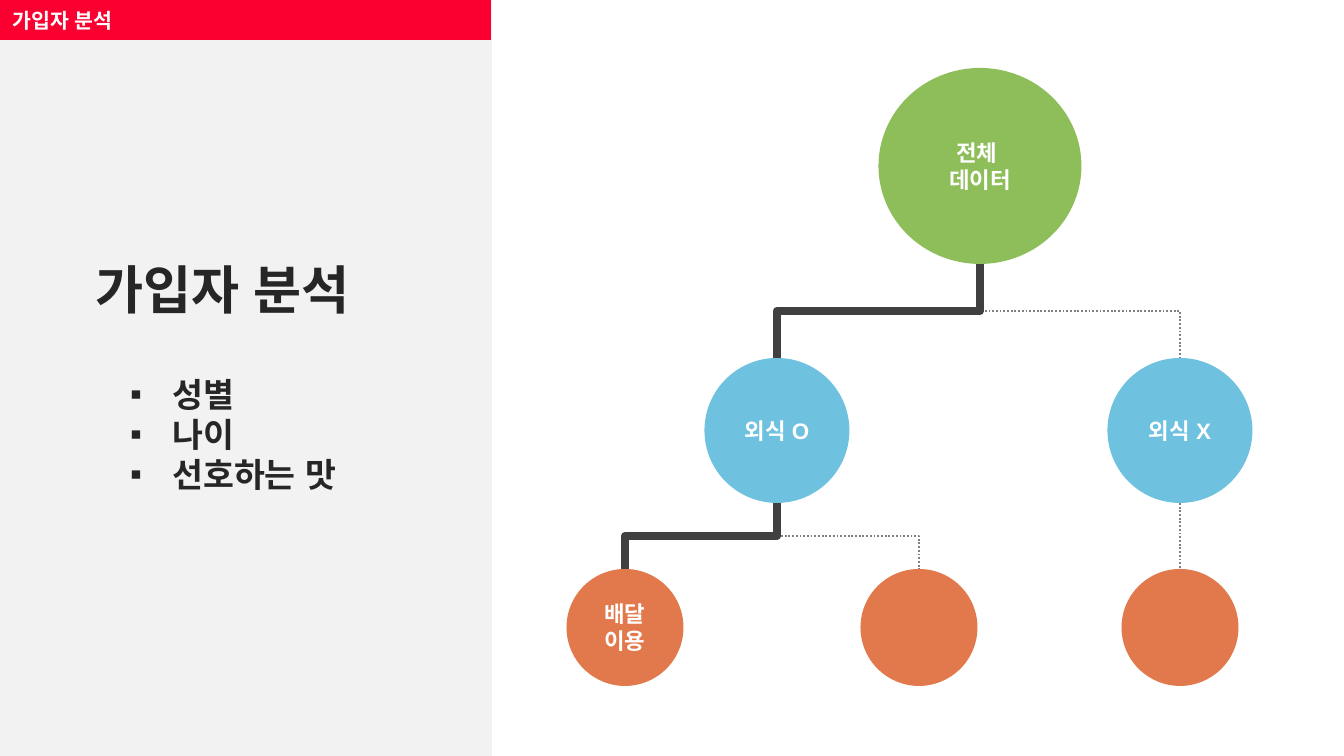
import pptx
import pptx.dml.color
import pptx.enum.dml
import pptx.enum.lang
import pptx.enum.shapes
import pptx.enum.text
import pptx.oxml
import pptx.oxml.ns
import pptx.util

RGB = pptx.dml.color.RGBColor
PANEL = RGB(0xF2, 0xF2, 0xF2)
RED = RGB(0xFA, 0x00, 0x30)
INK = RGB(0x26, 0x26, 0x26)
WHITE = RGB(0xFF, 0xFF, 0xFF)
GREEN = RGB(0x8E, 0xBE, 0x5A)
BLUE = RGB(0x6E, 0xC1, 0xDF)
ORANGE = RGB(0xE2, 0x79, 0x4C)
DARK = RGB(0x40, 0x40, 0x40)
GRAY = RGB(0x80, 0x80, 0x80)

LEFT = pptx.enum.text.PP_ALIGN.LEFT
CENTER = pptx.enum.text.PP_ALIGN.CENTER
RECTANGLE = pptx.enum.shapes.MSO_SHAPE.RECTANGLE
OVAL = pptx.enum.shapes.MSO_SHAPE.OVAL


def px(n):
    return pptx.util.Emu(round(n * 914400 / 134.4))


def add_xml(parent, tag, **attributes):
    child = pptx.oxml.parse_xml(f"<a:{tag} {pptx.oxml.ns.nsdecls('a')}/>")
    for key, value in attributes.items():
        child.set(key, str(value))
    parent.append(child)
    return child


class Deck:
    font = "Arial"

    def __init__(self, width, height):
        self.prs = pptx.Presentation()
        self.prs.slide_width, self.prs.slide_height = px(width), px(height)
        self.slide = self.prs.slides.add_slide(self.prs.slide_layouts[6])

    def fill_text(self, frame, text, size, color, align=LEFT):
        frame.word_wrap = True
        frame.text = text
        for paragraph in frame.paragraphs:
            paragraph.alignment = align
            for run in paragraph.runs:
                run.font.size = pptx.util.Pt(size)
                run.font.bold = True
                run.font.color.rgb = color
                run.font.name = self.font
                run.font.language_id = pptx.enum.lang.MSO_LANGUAGE_ID.KOREAN
                add_xml(run.font._element, "ea", typeface=self.font)

    def shape(self, kind, box, fill, text="", size=12, align=CENTER):
        shape = self.slide.shapes.add_shape(kind, *map(px, box))
        shape.shadow.inherit = False
        shape.fill.solid()
        shape.fill.fore_color.rgb = fill
        shape.line.fill.background()
        if text:
            shape.text_frame.vertical_anchor = pptx.enum.text.MSO_ANCHOR.MIDDLE
            self.fill_text(shape.text_frame, text, size, WHITE, align)
        return shape

    def node(self, center_x, top, width, height, fill, text=""):
        box = (center_x - width / 2, top, width, height)
        return self.shape(OVAL, box, fill, text)

    def text(self, box, text, size):
        frame = self.slide.shapes.add_textbox(*map(px, box)).text_frame
        self.fill_text(frame, text, size, INK)
        frame.auto_size = pptx.enum.text.MSO_AUTO_SIZE.SHAPE_TO_FIT_TEXT
        return frame

    def bullets(self, box, items, size, indent):
        for paragraph in self.text(box, "\n".join(items), size).paragraphs:
            props = paragraph._p.get_or_add_pPr()
            props.set("marL", str(px(indent)))
            props.set("indent", str(-px(indent)))
            add_xml(add_xml(props, "buClr"), "srgbClr", val=INK)
            add_xml(props, "buFont", typeface=self.font)
            add_xml(props, "buChar", char="▪")

    def branch(self, parent, child, color, width, dash=None):
        """Elbow from the parent's bottom to the child's top."""
        x1, y1 = parent.left + parent.width // 2, parent.top + parent.height
        x2, y2 = child.left + child.width // 2, child.top
        mid_x, mid_y = (x1 + x2) // 2, (y1 + y2) // 2
        # The elbow leaves sideways by default, so it is laid out turned by 90 degrees
        rightward = x2 > x1
        half_w = (y2 - y1) // 2 * (-1 if rightward else 1)
        half_h = abs(x2 - x1) // 2
        line = self.slide.shapes.add_connector(
            pptx.enum.shapes.MSO_CONNECTOR.ELBOW,
            mid_x - half_w, mid_y - half_h, mid_x + half_w, mid_y + half_h)
        props = line._element.spPr
        props.xfrm.set("rot", str((270 if rightward else 90) * 60000))
        line.line.color.rgb = color
        line.line.width = pptx.util.Pt(width)
        if dash:
            line.line.dash_style = dash
        add_xml(props, "effectLst")


def main():
    deck = Deck(1344, 756)

    # Left panel
    deck.shape(RECTANGLE, (0, 0, 492, 756), PANEL)
    deck.shape(RECTANGLE, (-1, 0, 492, 40), RED, "가입자 분석", 11, LEFT)
    deck.bullets((117, 367, 784, 136), ["성별", "나이", "선호하는 맛"], 18, 42)
    deck.text((82, 251, 440, 77), "가입자 분석", 28)

    # Tree nodes
    all_data = deck.node(980, 68, 203, 196, GREEN, "전체 \n데이터")
    dines_out, stays_in = [
        deck.node(x, 358, 145, 145, BLUE, label)
        for x, label in ((777, "외식 O"), (1180, "외식 X"))]
    delivery, no_delivery, other = [
        deck.node(x, 569, 117, 117, ORANGE, label)
        for x, label in ((625, "배달 이용"), (919, ""), (1180, ""))]

    # Dotted branches, then the highlighted path
    dotted = pptx.enum.dml.MSO_LINE.ROUND_DOT
    for parent, child in ((all_data, stays_in), (stays_in, other),
                          (dines_out, no_delivery)):
        deck.branch(parent, child, GRAY, 1, dotted)
    for parent, child in ((all_data, dines_out), (dines_out, delivery)):
        deck.branch(parent, child, DARK, 4.5)

    deck.prs.save("out.pptx")


if __name__ == "__main__":
    main()
